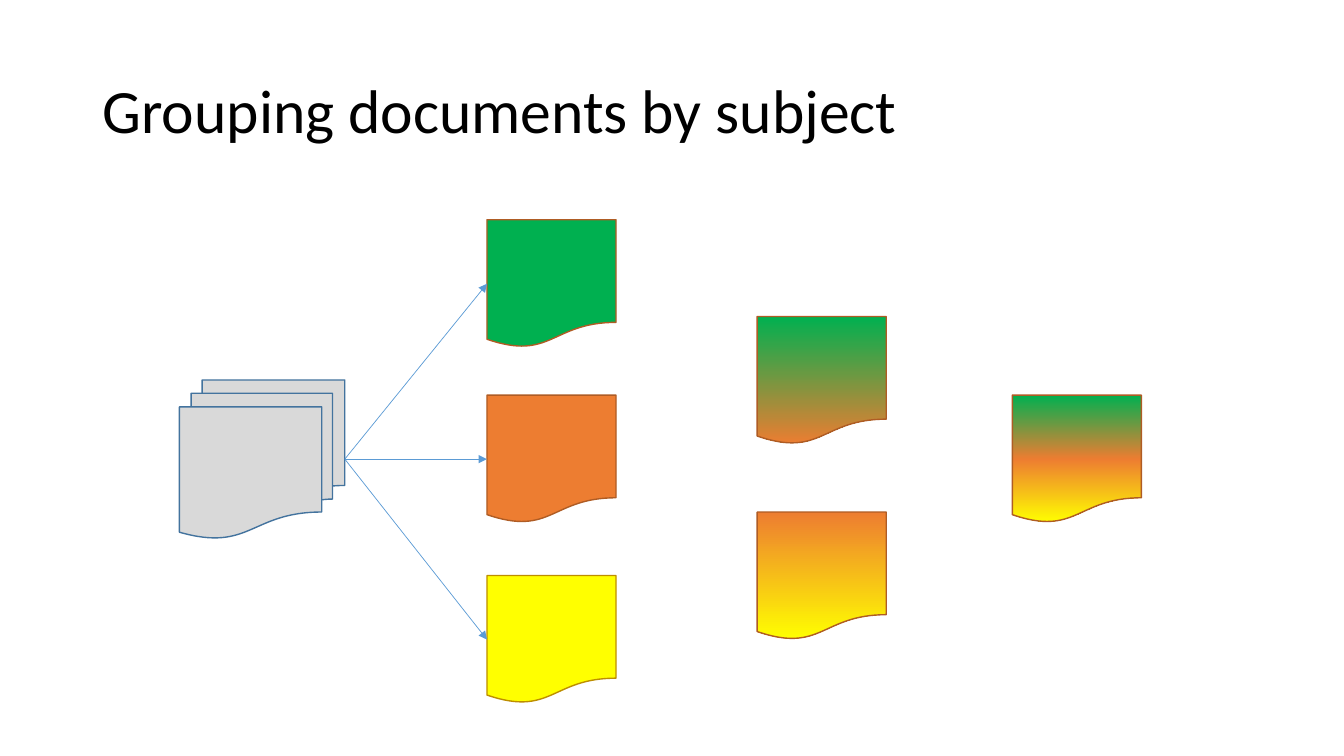
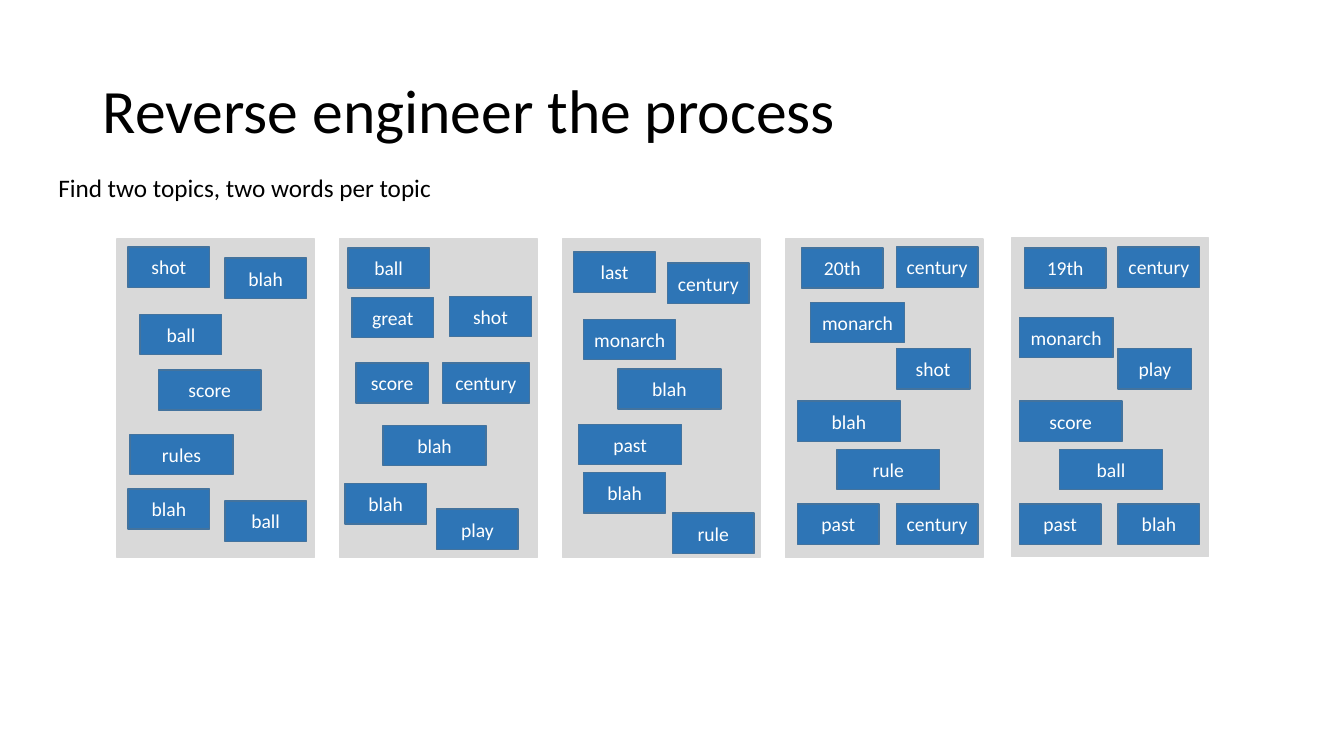
from lxml.etree import SubElement as Sub
from pptx import Presentation
from pptx.dml.color import RGBColor
from pptx.enum.shapes import MSO_CONNECTOR as Link, MSO_SHAPE as Form
from pptx.enum.text import MSO_ANCHOR as Anchor, PP_ALIGN as Align
from pptx.oxml.ns import qn
from pptx.util import Emu, Pt

SCALE = 9144
FONT = "Calibri"
BLACK, WHITE, GRAY = "000000", "FFFFFF", "D9D9D9"
BLUE, NAVY, SKY = "2E75B6", "43739E", "5B9BD5"
GREEN, ORANGE, YELLOW = "00B050", "ED7D31", "FFFF00"
RUST, GOLD = "AF5C24", "BD8E00"

PANELS = [
    (116, 237, [
        ("shot", 11, 8, 81), ("blah", 107, 19, 81), ("ball", 23, 75, 81),
        ("score", 41, 130, 102), ("rules", 13, 194, 102),
        ("blah", 11, 248, 81), ("ball", 107, 260, 81)]),
    (337, 237, [
        ("ball", 8, 9, 81), ("great", 12, 58, 81), ("shot", 109, 57, 81),
        ("score", 16, 123, 72), ("century", 102, 123, 86),
        ("blah", 43, 185, 102), ("blah", 5, 243, 81), ("play", 96, 268, 81)]),
    (558, 237, [
        ("last", 11, 13, 81), ("century", 104, 24, 81), ("monarch", 21, 80, 91),
        ("blah", 55, 129, 102), ("past", 16, 184, 102),
        ("blah", 21, 232, 81), ("rule", 109, 272, 81)]),
    (779, 237, [
        ("20th", 16, 9, 81), ("century", 110, 8, 81), ("monarch", 25, 63, 93),
        ("shot", 110, 109, 73), ("blah", 12, 161, 102), ("rule", 51, 209, 102),
        ("past", 12, 263, 81), ("century", 110, 263, 81)]),
    (1003, 236, [
        ("19th", 13, 10, 81), ("century", 106, 9, 81), ("monarch", 8, 79, 93),
        ("play", 106, 110, 73), ("score", 8, 162, 102), ("ball", 48, 210, 102),
        ("past", 8, 264, 81), ("blah", 106, 264, 81)]),
]


def px(*nums):
    return [Emu(round(n * SCALE)) for n in nums]


def color(code):
    return RGBColor.from_string(code)


def write(frame, text, size, ink):
    para = frame.paragraphs[0]
    run = para.add_run()
    run.text = text
    run.font.name = FONT
    run.font.size = Pt(size)
    run.font.color.rgb = color(ink)
    return para


def label(slide, box, text, size, wrap):
    frame = slide.shapes.add_textbox(*px(*box)).text_frame
    frame.word_wrap = wrap
    return frame, write(frame, text, size, BLACK)


def title(slide, text):
    frame, para = label(slide, (92, 40, 1150, 145), text, 44, True)
    frame.vertical_anchor = Anchor.MIDDLE
    para.line_spacing = 0.9


def blend(shape, inks):
    shape.fill.gradient()
    shape.fill.gradient_angle = 270
    stops = shape._element.spPr.find(".//" + qn("a:gsLst"))
    for old in list(stops):
        stops.remove(old)
    for i, ink in enumerate(inks):
        stop = Sub(stops, qn("a:gs"), pos=str(100000 * i // (len(inks) - 1)))
        Sub(stop, qn("a:srgbClr"), val=ink)


def block(slide, form, box, inks, edge):
    shape = slide.shapes.add_shape(form, *px(*box))
    shape.shadow.inherit = False
    if len(inks) > 1:
        blend(shape, inks)
    else:
        shape.fill.solid()
        shape.fill.fore_color.rgb = color(inks[0])
    shape.line.color.rgb = color(edge)
    shape.line.width = Pt(1)
    return shape


def page(slide, left, top, inks, edge=RUST):
    box = (left, top, 128, 127)
    return block(slide, Form.FLOWCHART_DOCUMENT, box, inks, edge)


def arrow(slide, start, end):
    line = slide.shapes.add_connector(Link.STRAIGHT, 0, 0, 0, 0)
    line.begin_connect(start, 3)
    line.end_connect(end, 1)
    line.line.color.rgb = color(SKY)
    line.line.width = Pt(0.5)
    props = line._element.spPr
    Sub(props.find(qn("a:ln")), qn("a:tailEnd"), type="triangle")
    Sub(props, qn("a:effectLst"))


def panel(slide, left, top, words):
    block(slide, Form.RECTANGLE, (left, top, 196, 316), [GRAY], GRAY)
    for word, x, y, width in words:
        box = (left + x, top + y, width, 40)
        frame = block(slide, Form.RECTANGLE, box, [BLUE], NAVY).text_frame
        frame.vertical_anchor = Anchor.MIDDLE
        write(frame, word, 14, WHITE).alignment = Align.CENTER


def groups(slide):
    title(slide, "Grouping documents by subject")
    stack = block(slide, Form.FLOWCHART_MULTIDOCUMENT,
                  (178, 377, 164, 157), [GRAY], NAVY)
    kinds = [(218, GREEN, RUST), (392, ORANGE, RUST), (571, YELLOW, GOLD)]
    for top, ink, edge in kinds:
        arrow(slide, stack, page(slide, 483, top, [ink], edge))
    page(slide, 751, 314, [GREEN, ORANGE])
    page(slide, 751, 508, [ORANGE, YELLOW])
    page(slide, 1004, 392, [GREEN, ORANGE, YELLOW])


def topics(slide):
    title(slide, "Reverse engineer the process")
    label(slide, (48, 166, 394, 40), "Find two topics, two words per topic",
          18, False)
    for left, top, words in PANELS:
        panel(slide, left, top, words)


def main():
    deck = Presentation()
    deck.slide_width, deck.slide_height = px(1333, 750)
    for build in (groups, topics):
        build(deck.slides.add_slide(deck.slide_layouts[6]))
    deck.save("out.pptx")


if __name__ == "__main__":
    main()
